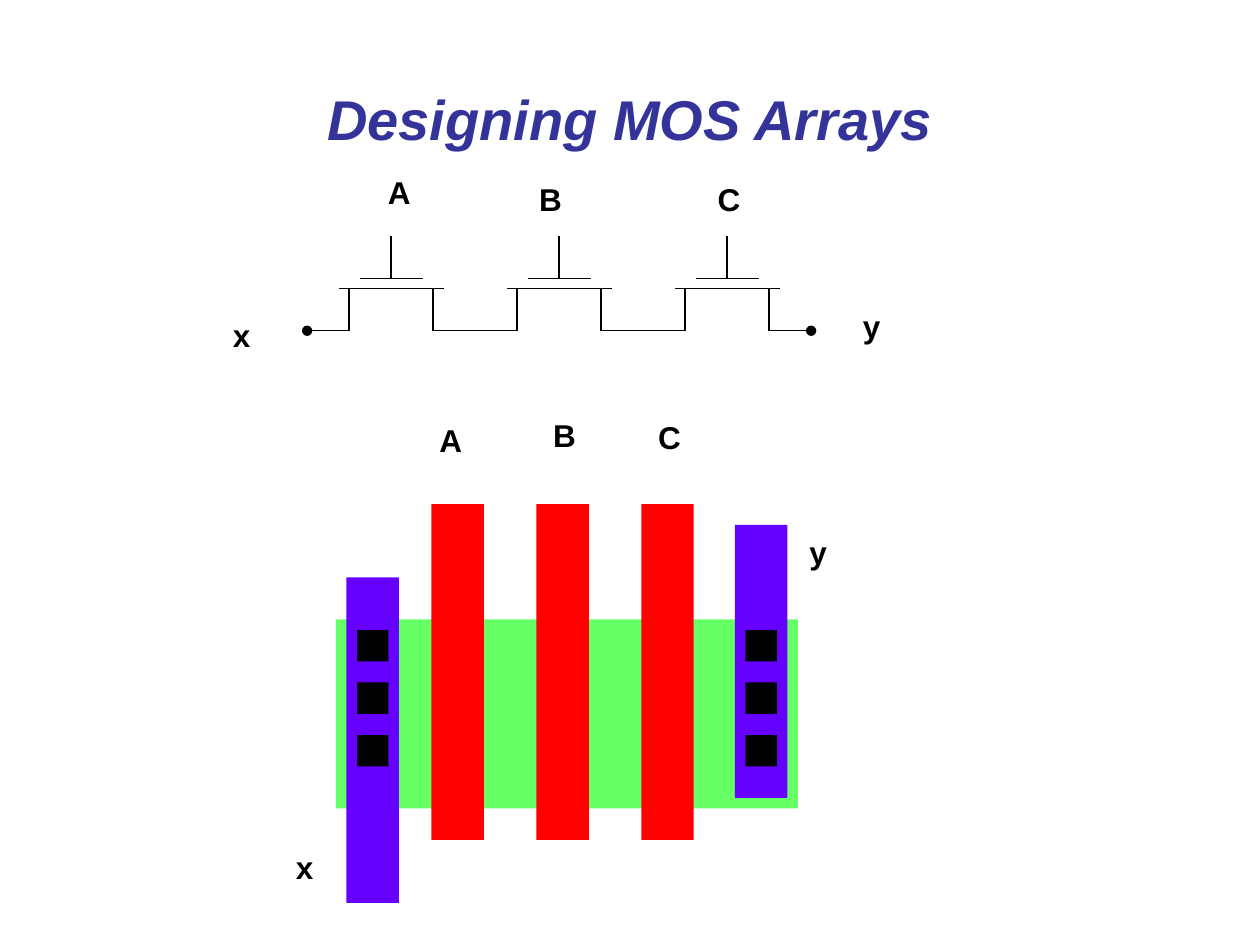
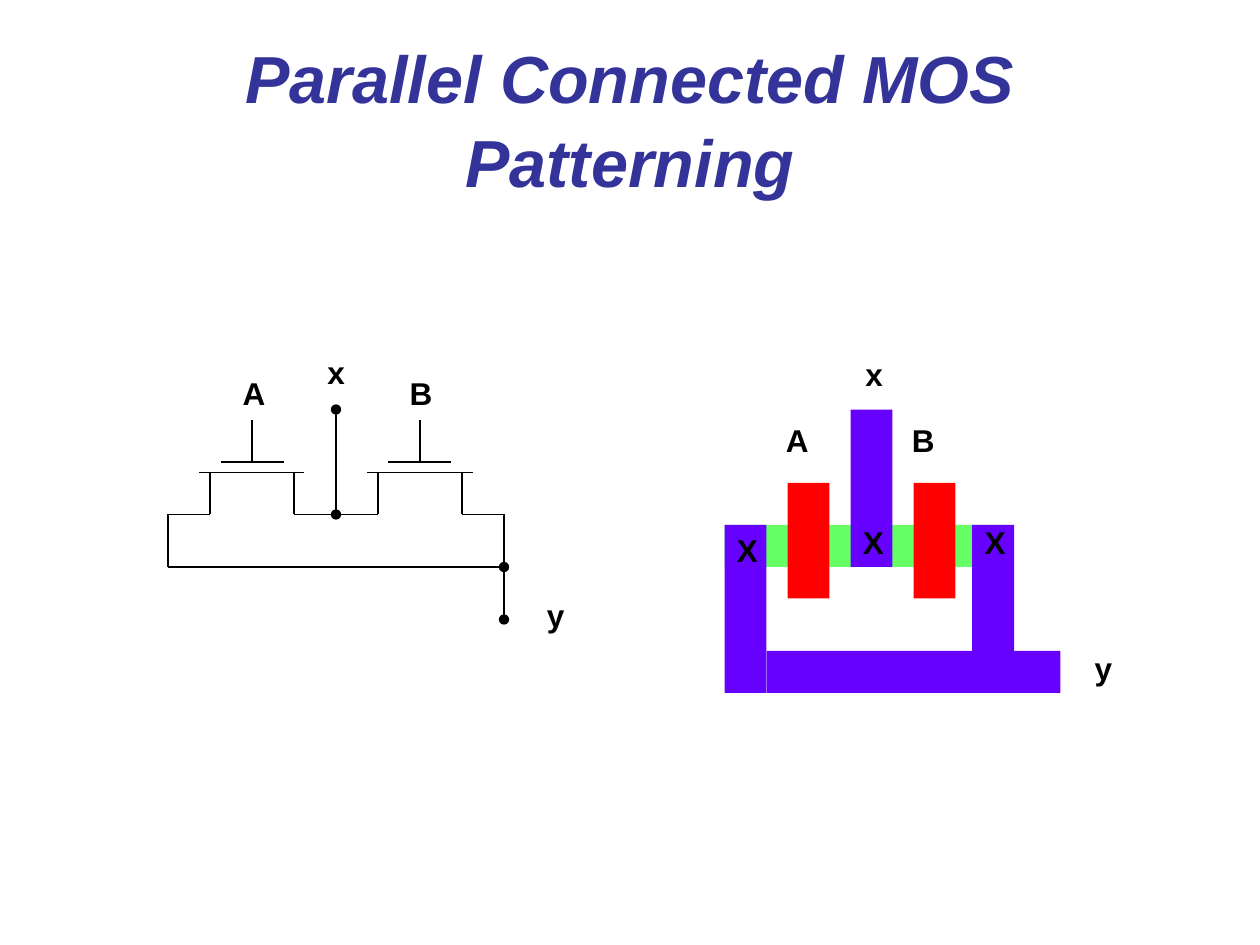
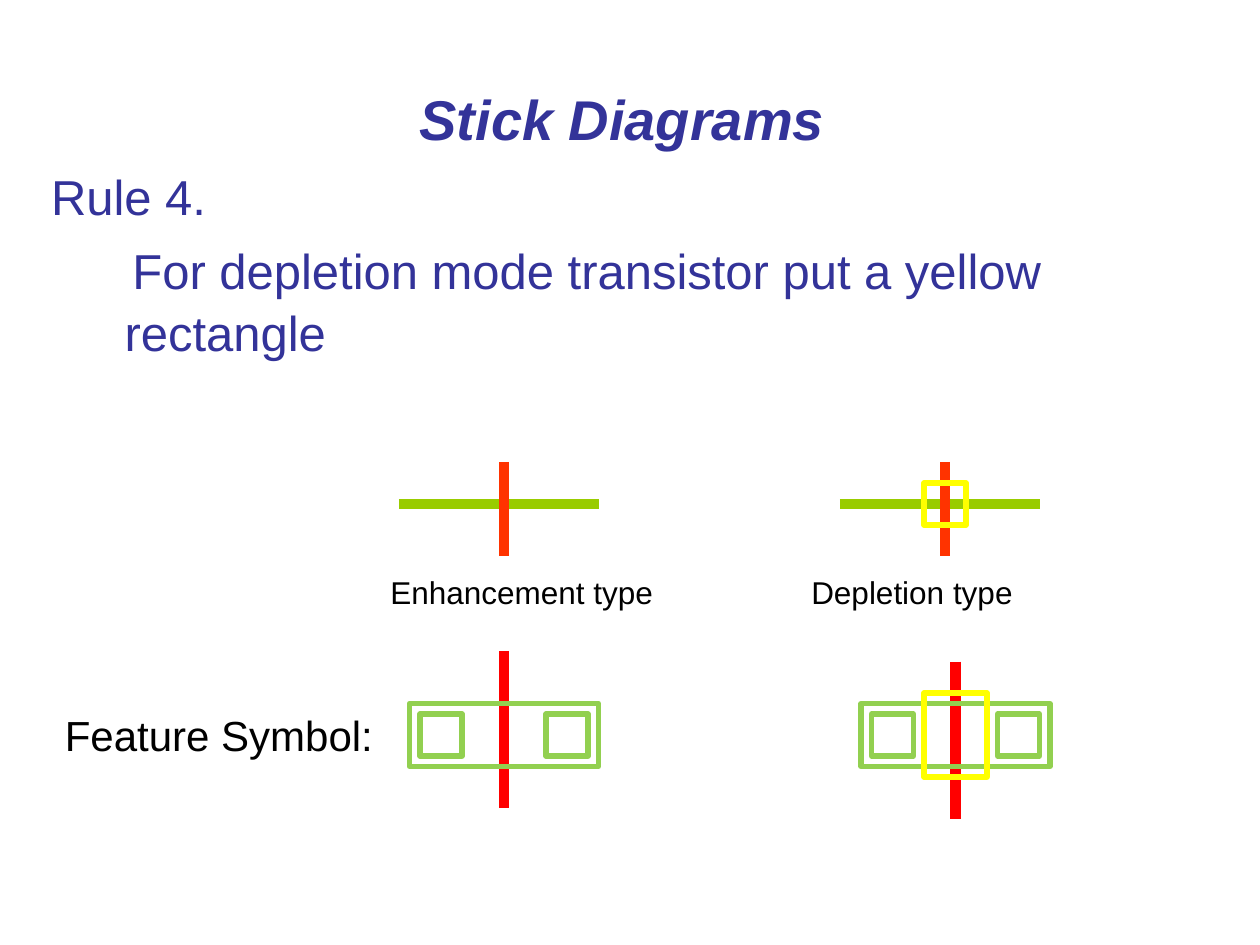
from dataclasses import dataclass
from lxml.etree import SubElement
from pptx import Presentation
from pptx.dml.color import RGBColor
from pptx.enum.shapes import MSO_CONNECTOR, MSO_SHAPE
from pptx.enum.text import MSO_ANCHOR, MSO_AUTO_SIZE, PP_ALIGN
from pptx.oxml.ns import qn
from pptx.util import Pt


@dataclass(frozen=True)
class Theme:
    font: str = "Arial"
    ink: str = "000000"
    navy: str = "333399"
    diff: str = "66FF66"
    poly: str = "FF0000"
    metal: str = "6600FF"
    moss: str = "99CC00"
    flame: str = "FF3300"
    leaf: str = "92D050"
    yellow: str = "FFFF00"
    title: int = 32
    large: int = 38
    body: int = 28
    note: int = 24
    label: int = 18
    thin: float = 0.75
    frame: int = 3
    stick: int = 6


theme = Theme()


def style(para, size, color, bold=False, italic=False):
    for run in para.runs:
        font = run.font
        font.name, font.size = theme.font, Pt(size)
        font.bold, font.italic = bold, italic
        font.color.rgb = RGBColor.from_string(color)


def mos(mid, top, head="none", tail="none"):
    """Wires of a transistor: channel, gate, then a leg and a lead on each side."""
    low = top + 24
    ends = [
        (mid - 30, top, mid + 30, top),
        (mid - 18, top - 6, mid + 18, top - 6),
        (mid, top - 30, mid, top - 6),
        (mid - 24, top, mid - 24, low),
        (mid + 24, top, mid + 24, low),
    ]
    wires = [(*end, "none", "none") for end in ends]
    wires.append((mid - 48, low, mid - 24, low, head, "none"))
    wires.append((mid + 24, low, mid + 48, low, "none", tail))
    return [(*wire, theme.ink, theme.thin) for wire in wires]


# Wires: x1, y1, x2, y2, head, tail, colour, width
# Boxes: x, y, width, height, colour, outline (0 means filled)
# Labels: text, x, y
series_wires = (mos(223.5, 165, head="oval") + mos(319.5, 165)
                + mos(415.5, 165, tail="oval"))
series_boxes = [(192, 354, 264, 108, theme.diff, 0)]
series_boxes += [(246.5 + 60 * i, 288, 30, 192, theme.poly, 0) for i in range(3)]
for left, top, high in [(198, 330, 186), (420, 300, 156)]:
    series_boxes.append((left, top, 30, high, theme.metal, 0))
    series_boxes += [(left + 6, 360 + 30 * i, 18, 18, theme.ink, 0) for i in range(3)]
series_labels = [
    ("A", 214.5, 95.5), ("B", 301, 99.5), ("C", 403, 99.5),
    ("y", 486, 172), ("x", 126, 177),
    ("A", 244, 237), ("B", 309, 234), ("C", 369, 235.5),
    ("y", 455.5, 301), ("x", 162, 481),
]

pair_wires = mos(144, 270) + mos(240, 270)
for *ends, head, tail in [
    (96, 294, 96, 324, "none", "none"),
    (288, 294, 288, 324, "none", "oval"),
    (96, 324, 288, 324, "none", "none"),
    (288, 324, 288, 354, "none", "oval"),
    (192, 234, 192, 294, "oval", "oval"),
]:
    pair_wires.append((*ends, head, tail, theme.ink, theme.thin))
pair_boxes = [
    (414, 300, 162, 24, theme.diff, 0),
    (414, 300, 24, 96, theme.metal, 0),
    (486, 234, 24, 90, theme.metal, 0),
    (438, 372, 168, 24, theme.metal, 0),
    (555.5, 300, 24, 96, theme.metal, 0),
    (450, 276, 24, 66, theme.poly, 0),
    (522, 276, 24, 66, theme.poly, 0),
]
pair_labels = [
    ("x", 180, 198), ("y", 305.5, 337), ("A", 131.5, 210), ("B", 227, 210),
    ("X", 414, 300), ("X", 486, 295.5), ("X", 555.5, 295.5),
    ("A", 442, 237), ("B", 514, 237), ("x", 487.5, 199.5), ("y", 618.5, 367.5),
]

stick_wires, stick_boxes = [], []
for left, mid in [(228, 288), (480, 540)]:
    stick_wires += [
        (left, 288, left + 114, 288, "none", "none", theme.moss, theme.stick),
        (mid, 264, mid, 318, "none", "none", theme.flame, theme.stick),
    ]
for mid, top, left in [(288, 372, 234), (546, 378, 492)]:
    stick_wires.append((mid, top, mid, top + 90, "none", "none", theme.poly, theme.stick))
    stick_boxes += [
        (left, 402, 108, 36, theme.leaf, theme.frame),
        (left + 6, 408, 24, 24, theme.leaf, theme.frame),
        (left + 78, 408, 24, 24, theme.leaf, theme.frame),
    ]
stick_boxes += [
    (528, 276, 24, 24, theme.yellow, theme.frame),
    (528, 396, 36, 48, theme.yellow, theme.frame),
]

pages = [
    ("Designing MOS Arrays", theme.title, series_wires, series_boxes, series_labels),
    ("Parallel Connected MOS Patterning", theme.large, pair_wires, pair_boxes, pair_labels),
    ("Stick Diagrams ", theme.title, stick_wires, stick_boxes, []),
]
widths = {"x": 24.5, "y": 24.5, "X": 26}

deck = Presentation()
deck.slide_width, deck.slide_height = Pt(720), Pt(540)

for name, size, wires, boxes, labels in pages:
    slide = deck.slides.add_slide(deck.slide_layouts[5])
    title = slide.shapes.title
    title.left, title.top, title.width, title.height = Pt(36), Pt(21.6), Pt(648), Pt(90)
    frame = title.text_frame
    frame.text = name
    frame.auto_size = MSO_AUTO_SIZE.NONE
    frame.vertical_anchor = MSO_ANCHOR.MIDDLE
    frame.paragraphs[0].alignment = PP_ALIGN.CENTER
    frame.paragraphs[0].line_spacing = 1.05
    style(frame.paragraphs[0], size, theme.navy, bold=True, italic=True)

    for *ends, head, tail, color, width in wires:
        wire = slide.shapes.add_connector(MSO_CONNECTOR.STRAIGHT, *map(Pt, ends))
        wire.line.color.rgb = RGBColor.from_string(color)
        wire.line.width = Pt(width)
        props = wire.element.spPr
        for tag, kind in [("a:headEnd", head), ("a:tailEnd", tail)]:
            if kind != "none":
                SubElement(props.find(qn("a:ln")), qn(tag), type=kind)
        SubElement(props, qn("a:effectLst"))

    for *place, color, width in boxes:
        box = slide.shapes.add_shape(MSO_SHAPE.RECTANGLE, *map(Pt, place))
        box.shadow.inherit = False
        if width:
            box.fill.background()
            box.line.color.rgb = RGBColor.from_string(color)
            box.line.width = Pt(width)
        else:
            box.fill.solid()
            box.fill.fore_color.rgb = RGBColor.from_string(color)
            box.line.fill.background()

    for text, left, top in labels:
        label = slide.shapes.add_textbox(Pt(left), Pt(top), Pt(widths.get(text, 27.4)), Pt(29))
        frame = label.text_frame
        frame.text = text
        frame.word_wrap = False
        style(frame.paragraphs[0], theme.label, theme.ink, bold=True)

# Rule and captions of the last slide
rule = slide.shapes.add_textbox(Pt(24), Pt(90), Pt(648), Pt(132)).text_frame
rule.word_wrap = True
rule.margin_left = rule.margin_right = Pt(5.2)
rule.text = "Rule 4.\nFor depletion mode transistor put a yellow rectangle"
for para, indent in zip(rule.paragraphs, [-42, 4.5]):
    para.space_before = Pt(7)
    para.line_spacing = 1.05
    props = para._p.get_or_add_pPr()
    props.set("marL", str(Pt(42)))
    props.set("indent", str(Pt(indent)))
    style(para, theme.body, theme.navy)

for text, left, top, width, size in [
    ("Enhancement type\tDepletion type", 216, 324, 450, theme.label),
    ("Feature Symbol:", 30, 402, 216, theme.note),
]:
    frame = slide.shapes.add_textbox(Pt(left), Pt(top), Pt(width), Pt(size * 1.2 + 7.2)).text_frame
    frame.word_wrap = True
    frame.text = text
    para = frame.paragraphs[0]
    style(para, size, theme.ink)
    if "\t" in text:
        tabs = SubElement(para._p.get_or_add_pPr(), qn("a:tabLst"))
        SubElement(tabs, qn("a:tab"), pos=str(Pt(240.5)), algn="l")

deck.save("out.pptx")
